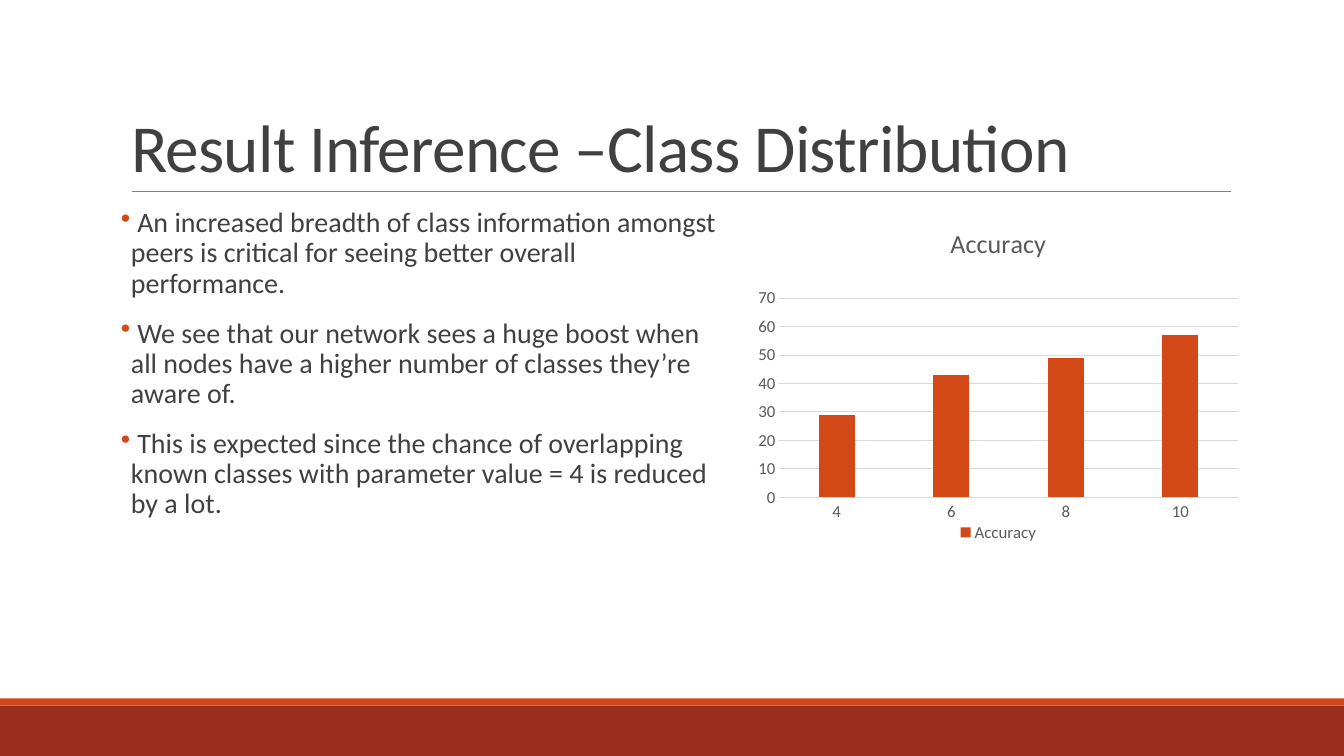
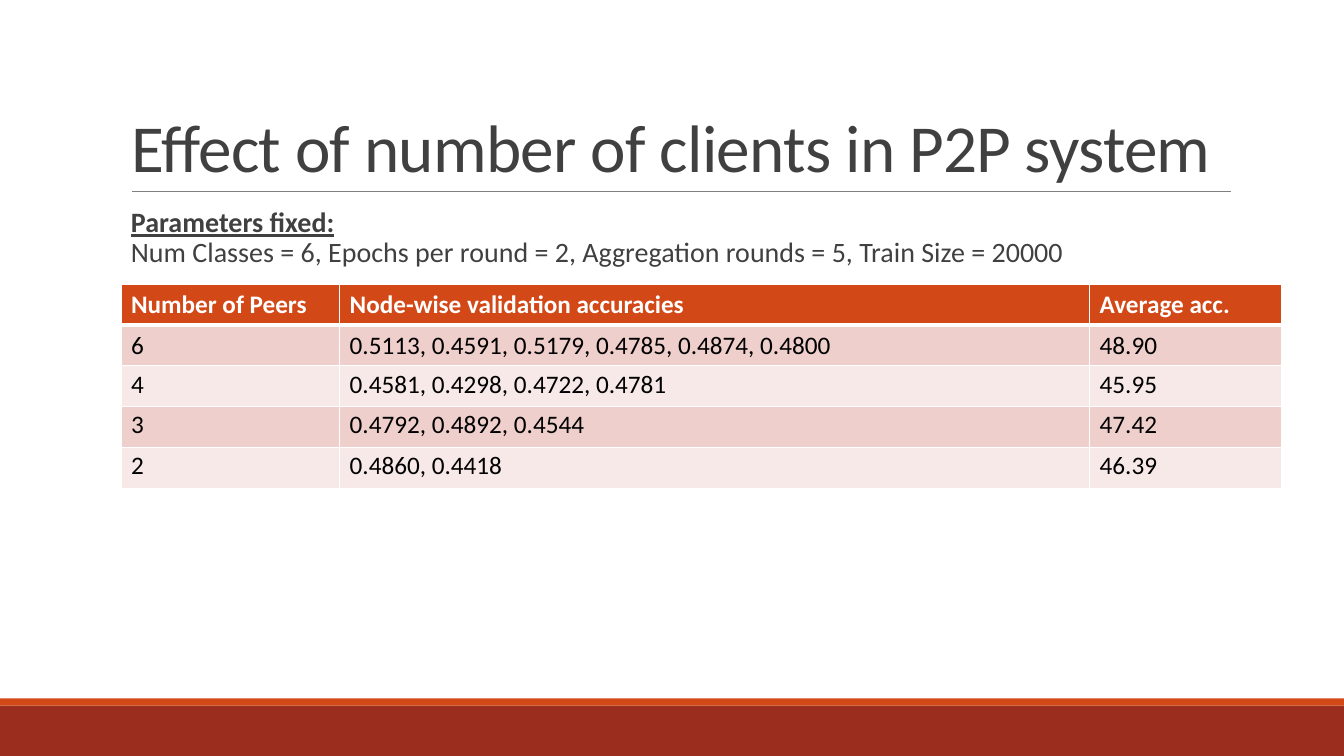
from lxml import etree
from pptx import Presentation
from pptx.chart.data import CategoryChartData
from pptx.dml.color import RGBColor
from pptx.enum.chart import XL_CHART_TYPE, XL_LEGEND_POSITION, XL_TICK_MARK
from pptx.enum.shapes import MSO_CONNECTOR, MSO_SHAPE
from pptx.enum.text import MSO_ANCHOR, MSO_AUTO_SIZE, PP_ALIGN
from pptx.oxml import parse_xml
from pptx.oxml.ns import nsdecls, qn
from pptx.util import Cm, Pt

COLUMN = XL_CHART_TYPE.COLUMN_CLUSTERED
LEGEND_BOTTOM = XL_LEGEND_POSITION.BOTTOM
NO_TICK = XL_TICK_MARK.NONE
STRAIGHT = MSO_CONNECTOR.STRAIGHT
RECTANGLE = MSO_SHAPE.RECTANGLE
BOTTOM = MSO_ANCHOR.BOTTOM
NO_AUTOFIT = MSO_AUTO_SIZE.NONE
LEFT = PP_ALIGN.LEFT

FONT = "Calibri"
ORANGE = "D34817"
RED = "9B2D1F"
TEXT = "404040"
CHART_TEXT = "595959"
GRID = "D9D9D9"
RULE = "808080"
WHITE = "FFFFFF"
BLACK = "000000"
ROW_FILLS = ["EFCFCC", "F7E9E8"]

MARGIN = Cm(3.05)
CONTENT_WIDTH = Cm(27.94)
BODY_TOP = Cm(5.13)
INDENT = Cm(0.25)


def color(value):
    return RGBColor.from_string(value)


def style(font, size, value, bold=False):
    font.name = FONT
    font.size = Pt(size)
    font.color.rgb = color(value)
    font.bold = bold


deck = Presentation()
deck.slide_width = Cm(33.87)
deck.slide_height = Cm(19.05)

titles = [
    "Result Inference –Class Distribution",
    "Effect of number of clients in P2P system",
]
bands = [(17.78, 1.27, RED), (17.6, 0.18, ORANGE)]
body_widths = [Cm(15.5), CONTENT_WIDTH]
body_heights = [Cm(11.18), Cm(1.9)]
pages = []
bodies = []

for title_text, body_width, body_height in zip(titles, body_widths, body_heights):
    page = deck.slides.add_slide(deck.slide_layouts[5])
    for top, height, fill in bands:
        band = page.shapes.add_shape(RECTANGLE, 0, Cm(top), deck.slide_width, Cm(height))
        band.shadow.inherit = False
        band.fill.solid()
        band.fill.fore_color.rgb = color(fill)
        band.line.fill.background()

    rule = page.shapes.add_connector(STRAIGHT, Cm(3.33), Cm(4.83), Cm(31.01), Cm(4.83))
    rule.line.color.rgb = color(RULE)
    rule.line.width = Pt(0.5)
    etree.SubElement(rule._element.spPr, qn("a:effectLst"))

    title = page.shapes.title
    title.left, title.top = MARGIN, Cm(0.79)
    title.width, title.height = CONTENT_WIDTH, Cm(4.04)
    title.text_frame.text = title_text
    title.text_frame.auto_size = NO_AUTOFIT
    title.text_frame.vertical_anchor = BOTTOM
    paragraph = title.text_frame.paragraphs[0]
    paragraph.alignment = LEFT
    paragraph.line_spacing = 0.85
    style(paragraph.font, 48, TEXT)
    paragraph.runs[0]._r.get_or_add_rPr().set("spc", "-50")

    box = page.shapes.add_textbox(MARGIN, BODY_TOP, body_width, body_height)
    box.text_frame.word_wrap = True
    box.text_frame.margin_left = box.text_frame.margin_right = 0
    pages.append(page)
    bodies.append(box.text_frame)

chart_page, table_page = pages
findings, parameters = bodies

findings.text = "\n".join([
    " An increased breadth of class information amongst\vpeers is critical for seeing better overall\vperformance.",
    " We see that our network sees a huge boost when\vall nodes have a higher number of classes they’re\vaware of.",
    " This is expected since the chance of overlapping\vknown classes with parameter value = 4 is reduced\vby a lot.",
])
for index, paragraph in enumerate(findings.paragraphs):
    paragraph.line_spacing = 0.9
    paragraph.space_after = Pt(2)
    if index:
        paragraph.space_before = Pt(12)
    properties = paragraph._p.get_or_add_pPr()
    properties.set("marL", str(INDENT))
    properties.set("indent", str(-INDENT))
    bullet_color = etree.SubElement(properties, qn("a:buClr"))
    etree.SubElement(bullet_color, qn("a:srgbClr"), val=ORANGE)
    etree.SubElement(properties, qn("a:buChar"), char="•")
    style(paragraph.font, 20, TEXT)

chart_data = CategoryChartData()
chart_data.categories = ["4", "6", "8", "10"]
chart_data.add_series("Accuracy", [29, 43, 49, 57])
chart = chart_page.shapes.add_chart(
    COLUMN, Cm(18.67), Cm(5.26), Cm(12.98), Cm(8.51), chart_data
).chart
style(chart.font, 12, CHART_TEXT)
chart.has_title = True
chart.chart_title.include_in_layout = False
chart.chart_title.text_frame.text = "Accuracy"
style(chart.chart_title.text_frame.paragraphs[0].font, 18.6, CHART_TEXT)
chart.has_legend = True
chart.legend.position = LEGEND_BOTTOM
chart.legend.include_in_layout = False

plot = chart.plots[0]
plot.gap_width = 219
plot.overlap = -27
plot.vary_by_categories = False
series = plot.series[0]
series.format.fill.solid()
series.format.fill.fore_color.rgb = color(ORANGE)

value_axis, category_axis = chart.value_axis, chart.category_axis
for axis in (value_axis, category_axis):
    axis.major_tick_mark = axis.minor_tick_mark = NO_TICK
value_axis.minimum_scale = 0
value_axis.maximum_scale = 70
value_axis.major_unit = 10
value_axis.format.line.fill.background()
for line in (value_axis.major_gridlines.format.line, category_axis.format.line):
    line.color.rgb = color(GRID)
    line.width = Pt(0.75)

plot_area = chart._chartSpace.chart.plotArea
for old_layout in plot_area.findall(qn("c:layout")):
    plot_area.remove(old_layout)
plot_area.insert(0, parse_xml(
    f'<c:layout {nsdecls("c")}><c:manualLayout><c:layoutTarget val="inner"/>'
    '<c:xMode val="edge"/><c:yMode val="edge"/><c:x val="0.075"/><c:y val="0.265"/>'
    '<c:w val="0.89"/><c:h val="0.59"/></c:manualLayout></c:layout>'
))

paragraph = parameters.paragraphs[0]
paragraph.line_spacing = 0.9
paragraph._p.get_or_add_pPr().set("marL", str(INDENT))
style(paragraph.font, 20, TEXT)
heading = paragraph.add_run()
heading.text = "Parameters fixed:"
heading.font.bold = True
heading.font.underline = True
paragraph.add_line_break()
settings = paragraph.add_run()
settings.text = "Num Classes = 6, Epochs per round = 2, Aggregation rounds = 5, Train Size = 20000"

rows = [
    ("Number of Peers", "Node-wise validation accuracies", "Average acc."),
    ("6", "0.5113, 0.4591, 0.5179, 0.4785, 0.4874, 0.4800", "48.90"),
    ("4", "0.4581, 0.4298, 0.4722, 0.4781", "45.95"),
    ("3", "0.4792, 0.4892, 0.4544", "47.42"),
    ("2", "0.4860, 0.4418", "46.39"),
]
column_widths = [Cm(5.51), Cm(18.9), Cm(4.83)]
row_height = Cm(1.03)
table = table_page.shapes.add_table(
    len(rows), len(column_widths), MARGIN, Cm(7.16), sum(column_widths), row_height * len(rows)
).table
for column, width in zip(table.columns, column_widths):
    column.width = width

for row_index, row in enumerate(rows):
    is_header = row_index == 0
    table.rows[row_index].height = row_height
    border_widths = {
        "lnL": 1,
        "lnR": 1,
        "lnT": 3 if row_index == 1 else 1,
        "lnB": 3 if is_header else 1,
    }
    for column_index, text in enumerate(row):
        cell = table.cell(row_index, column_index)
        cell.text = text
        paragraph = cell.text_frame.paragraphs[0]
        if row_index > 1:
            paragraph.line_spacing = 0.9
        style(paragraph.font, 18, WHITE if is_header else BLACK, is_header)
        properties = cell._tc.get_or_add_tcPr()
        for side, width in border_widths.items():
            border = etree.SubElement(properties, qn(f"a:{side}"), w=str(Pt(width)))
            border_fill = etree.SubElement(border, qn("a:solidFill"))
            etree.SubElement(border_fill, qn("a:srgbClr"), val=WHITE)
        cell.fill.solid()
        cell.fill.fore_color.rgb = color(ORANGE if is_header else ROW_FILLS[(row_index - 1) % 2])

deck.save("out.pptx")
